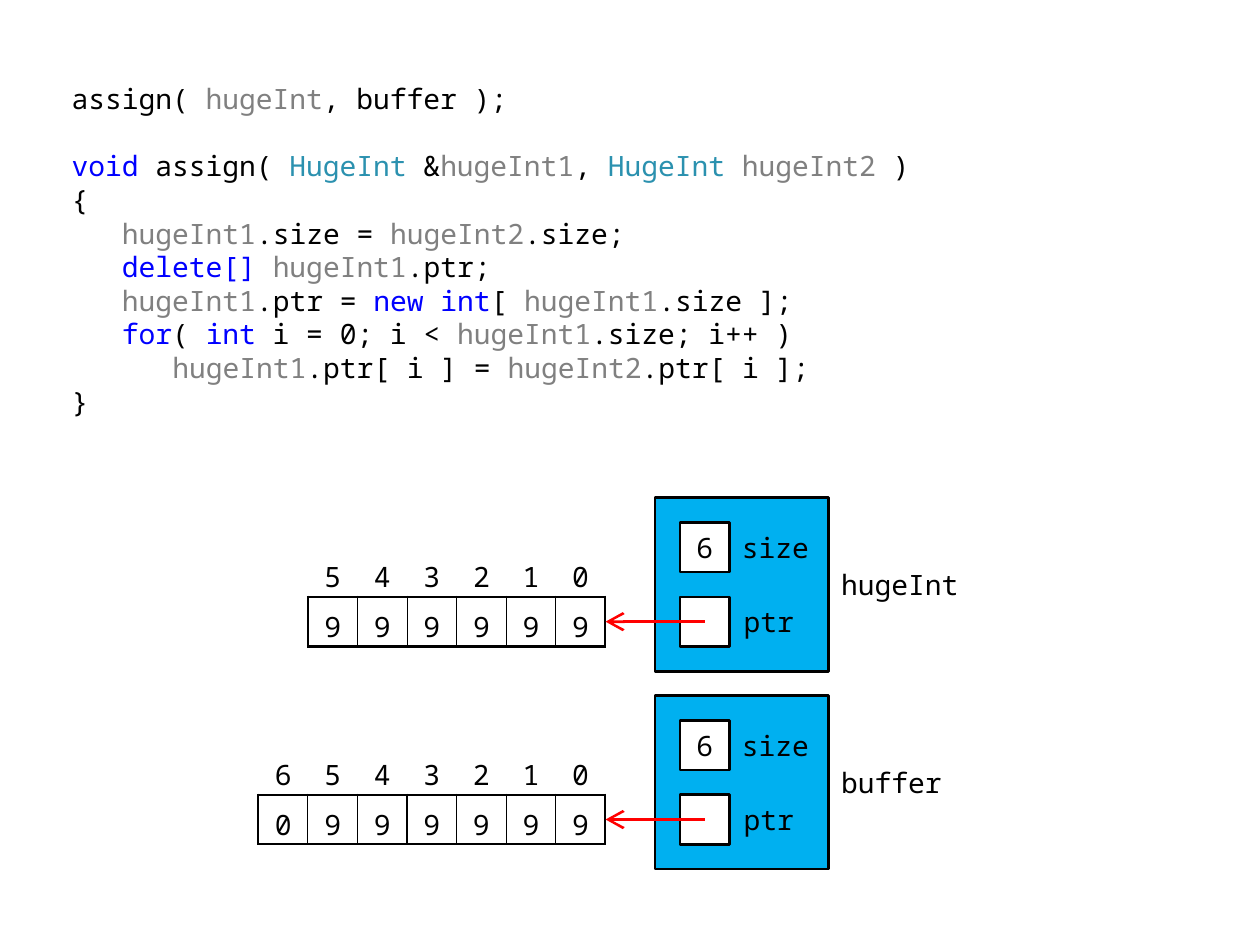
from lxml import etree
from pptx import Presentation
from pptx.dml.color import RGBColor
from pptx.enum.shapes import MSO_CONNECTOR, MSO_SHAPE
from pptx.enum.text import MSO_ANCHOR, PP_ALIGN
from pptx.oxml.ns import qn
from pptx.util import Inches, Pt

LEFT, CENTER, RIGHT = PP_ALIGN.LEFT, PP_ALIGN.CENTER, PP_ALIGN.RIGHT
TOP, MIDDLE = MSO_ANCHOR.TOP, MSO_ANCHOR.MIDDLE
RECTANGLE, STRAIGHT = MSO_SHAPE.RECTANGLE, MSO_CONNECTOR.STRAIGHT

UNIT = 1 / 2.54  # the diagram sits on a one-centimetre grid
BLACK, WHITE, SKY, RED = "000000", "FFFFFF", "00B0F0", "FF0000"
BLUE, TEAL, GRAY = "0000FF", "2B91AF", "808080"

TOKEN_COLORS = {
    **dict.fromkeys(["void", "delete[]", "new int", "for", "int"], BLUE),
    "HugeInt": TEAL,
    **dict.fromkeys(["hugeInt", "hugeInt1", "hugeInt2"], GRAY),
}
# (indent level, gap before in lines, tokens separated by bars)
CODE = [
    (0, 0, "assign( |hugeInt|, buffer );"),
    (0, 1, "void| assign( |HugeInt| &|hugeInt1|, |HugeInt |hugeInt2| )"),
    (0, 0, "{"),
    (1, 0, "hugeInt1|.size = |hugeInt2|.size;"),
    (1, 0, "delete[] |hugeInt1|.ptr;"),
    (1, 0, "hugeInt1|.ptr = |new int|[ |hugeInt1|.size ];"),
    (1, 0, "for|( |int| i = 0; i < |hugeInt1|.size; i++ )"),
    (2, 0, "hugeInt1|.ptr[ i ] = |hugeInt2|.ptr[ i ];"),
    (0, 0, "}"),
]
# (name, name width in units, top, size, digits)
OBJECTS = [
    ("hugeInt", 3, 3.95, "6", "999999"),
    ("buffer", 2.5, 5.52, "6", "0999999"),
]


def rgb(hex_color):
    return RGBColor.from_string(hex_color)


class Diagram:
    """Holds the text style and the slide being drawn."""

    font, size, line_width, code_pitch = "Noto Sans Mono", 16, 1.5, 19.2

    def __init__(self, slide):
        self.slide = slide

    def run(self, paragraph, text, color=BLACK):
        run = paragraph.add_run()
        run.text = text
        for name, value in {"name": self.font, "size": Pt(self.size)}.items():
            setattr(run.font, name, value)
        run.font.color.rgb = rgb(color)

    def frame(self, shape, anchor=MIDDLE, left=0, right=0, edge=0):
        frame = shape.text_frame
        settings = {
            "word_wrap": True, "vertical_anchor": anchor,
            "margin_left": Inches(left), "margin_right": Inches(right),
            "margin_top": Inches(edge), "margin_bottom": Inches(edge),
        }
        for name, value in settings.items():
            setattr(frame, name, value)
        return frame

    def code(self, x, y, width, height, lines):
        box = self.slide.shapes.add_textbox(*map(Inches, (x, y, width, height)))
        frame = self.frame(box, TOP, left=0.1, right=0.1, edge=0.05)
        for number, (level, gap, tokens) in enumerate(lines):
            line = frame.add_paragraph() if number else frame.paragraphs[0]
            line.line_spacing = Pt(self.code_pitch)
            line.space_before = Pt(gap * self.code_pitch)
            properties = line._p.get_or_add_pPr()
            properties.set("marL", str(Inches(0.4 * level)))
            properties.set("indent", "0")
            for token in tokens.split("|"):
                self.run(line, token, TOKEN_COLORS.get(token.strip(), BLACK))

    def label(self, x, y, width, height, text, align=LEFT):
        box = self.slide.shapes.add_textbox(*map(Inches, (x, y, width, height)))
        paragraph = self.frame(box, left=0.1, right=0.08).paragraphs[0]
        paragraph.alignment = align
        self.run(paragraph, text)

    def square(self, x, y, side, fill, text=""):
        shape = self.slide.shapes.add_shape(
            RECTANGLE, *map(Inches, (x, y, side, side)))
        shape.shadow.inherit = False
        shape.fill.solid()
        shape.fill.fore_color.rgb = rgb(fill)
        shape.line.color.rgb = rgb(BLACK)
        shape.line.width = Pt(self.line_width)
        if text:
            paragraph = self.frame(shape).paragraphs[0]
            paragraph.alignment = CENTER
            self.run(paragraph, text)

    def border(self, cell, side, width):
        line = etree.SubElement(cell._tc.get_or_add_tcPr(), qn(f"a:ln{side}"))
        if not width:
            etree.SubElement(line, qn("a:noFill"))
            return
        line.set("w", str(Pt(width)))
        fill = etree.SubElement(line, qn("a:solidFill"))
        etree.SubElement(fill, qn("a:srgbClr")).set("val", BLACK)

    def array(self, right, y, digits):
        """Draw the digits in boxes, under indexes that count down to 0."""
        count = len(digits)
        table = self.slide.shapes.add_table(
            2, count, Inches(right - count * UNIT), Inches(y),
            Inches(count * UNIT), Inches(2 * UNIT)).table
        table.first_row = table.horz_banding = False
        for row in table.rows:
            row.height = Inches(UNIT)
        for column in range(count):
            table.columns[column].width = Inches(UNIT)
            for row, text in enumerate((str(count - 1 - column), digits[column])):
                cell = table.cell(row, column)
                outer, inner = self.line_width, 0.75
                widths = {
                    "L": (outer if column == 0 else inner) * row,
                    "R": (outer if column == count - 1 else inner) * row,
                    "T": outer * row,
                    "B": outer,
                }
                for side, width in widths.items():
                    self.border(cell, side, width)
                cell.fill.background()
                cell.vertical_anchor = MIDDLE
                for side in ("left", "right", "top", "bottom"):
                    setattr(cell, f"margin_{side}", 0)
                paragraph = cell.text_frame.paragraphs[0]
                paragraph.alignment = CENTER
                paragraph.line_spacing = 1.25
                self.run(paragraph, text)

    def arrow(self, start_x, end_x, y):
        arrow = self.slide.shapes.add_connector(
            STRAIGHT, *map(Inches, (start_x, y, end_x, y)))
        arrow.line.color.rgb = rgb(RED)
        arrow.line.width = Pt(self.line_width)
        head = etree.SubElement(arrow.line._get_or_add_ln(), qn("a:tailEnd"))
        for name, value in {"type": "arrow", "w": "lg", "len": "lg"}.items():
            head.set(name, value)
        etree.SubElement(arrow._element.spPr, qn("a:effectLst"))

    def huge_int(self, x, y, name, name_units, size, digits):
        """Draw one object with its members and the array it points to."""
        member_x, label_x = x + UNIT / 2, x + 1.5 * UNIT
        size_y, ptr_y = y + UNIT / 2, y + 2 * UNIT
        self.array(x - UNIT, y + UNIT, digits)
        self.square(x, y, 3.5 * UNIT, SKY)
        self.square(member_x, size_y, UNIT, WHITE, size)
        self.square(member_x, ptr_y, UNIT, WHITE)
        self.label(x + 3.5 * UNIT, y + UNIT, name_units * UNIT, 1.5 * UNIT, name)
        self.label(label_x, size_y, 2 * UNIT, UNIT, "size")
        self.label(label_x, ptr_y, 1.5 * UNIT, UNIT, "ptr", RIGHT)
        self.arrow(x + UNIT, x - UNIT, ptr_y + UNIT / 2)


def main():
    presentation = Presentation()
    presentation.slide_width, presentation.slide_height = Inches(10), Inches(7.5)
    slide = presentation.slides.add_slide(presentation.slide_layouts[6])
    diagram = Diagram(slide)
    diagram.code(0.47, 0.6, 8.27, 3.35, CODE)
    for name, name_units, top, size, digits in OBJECTS:
        diagram.huge_int(5.2, top, name, name_units, size, digits)
    presentation.save("out.pptx")


if __name__ == "__main__":
    main()
